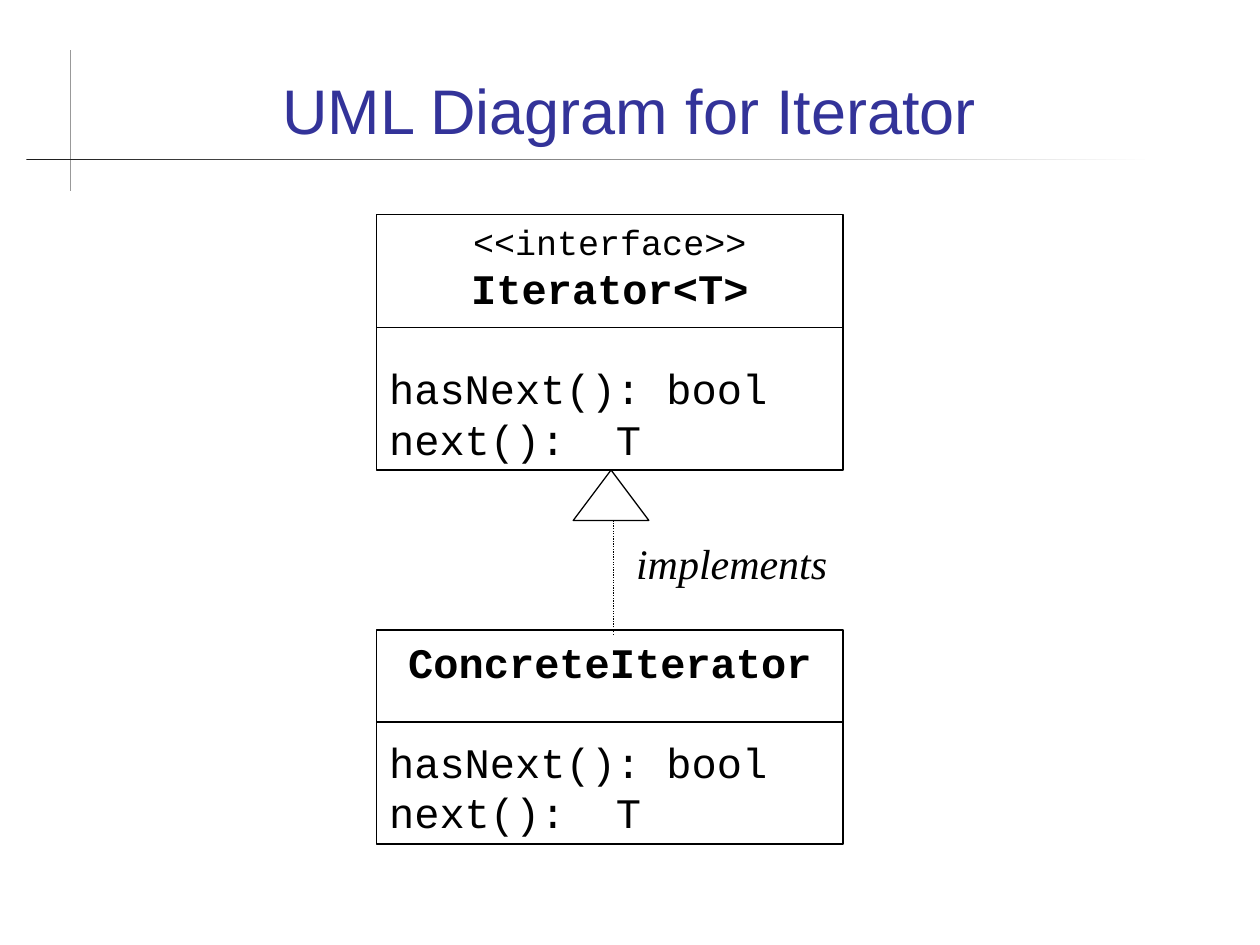
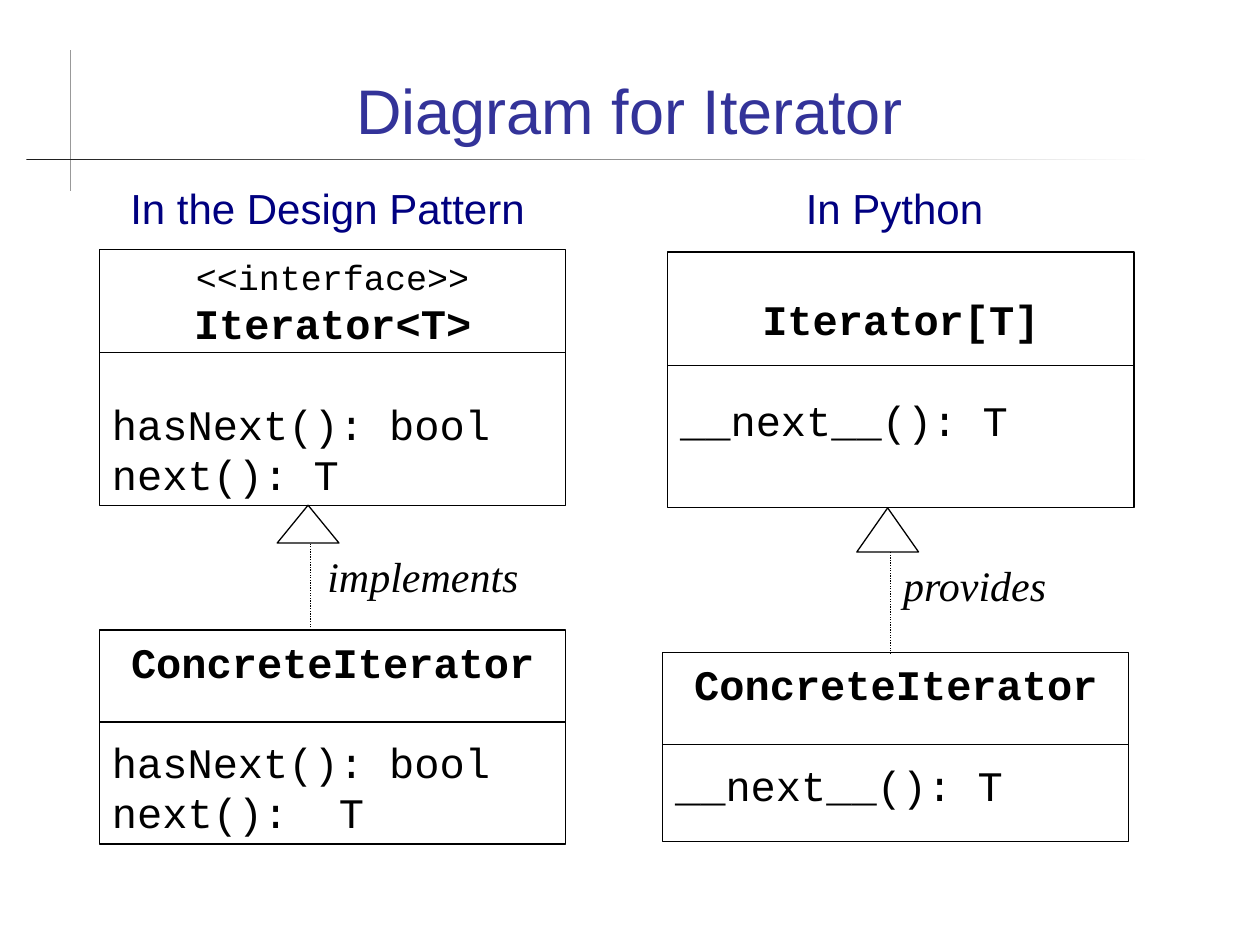
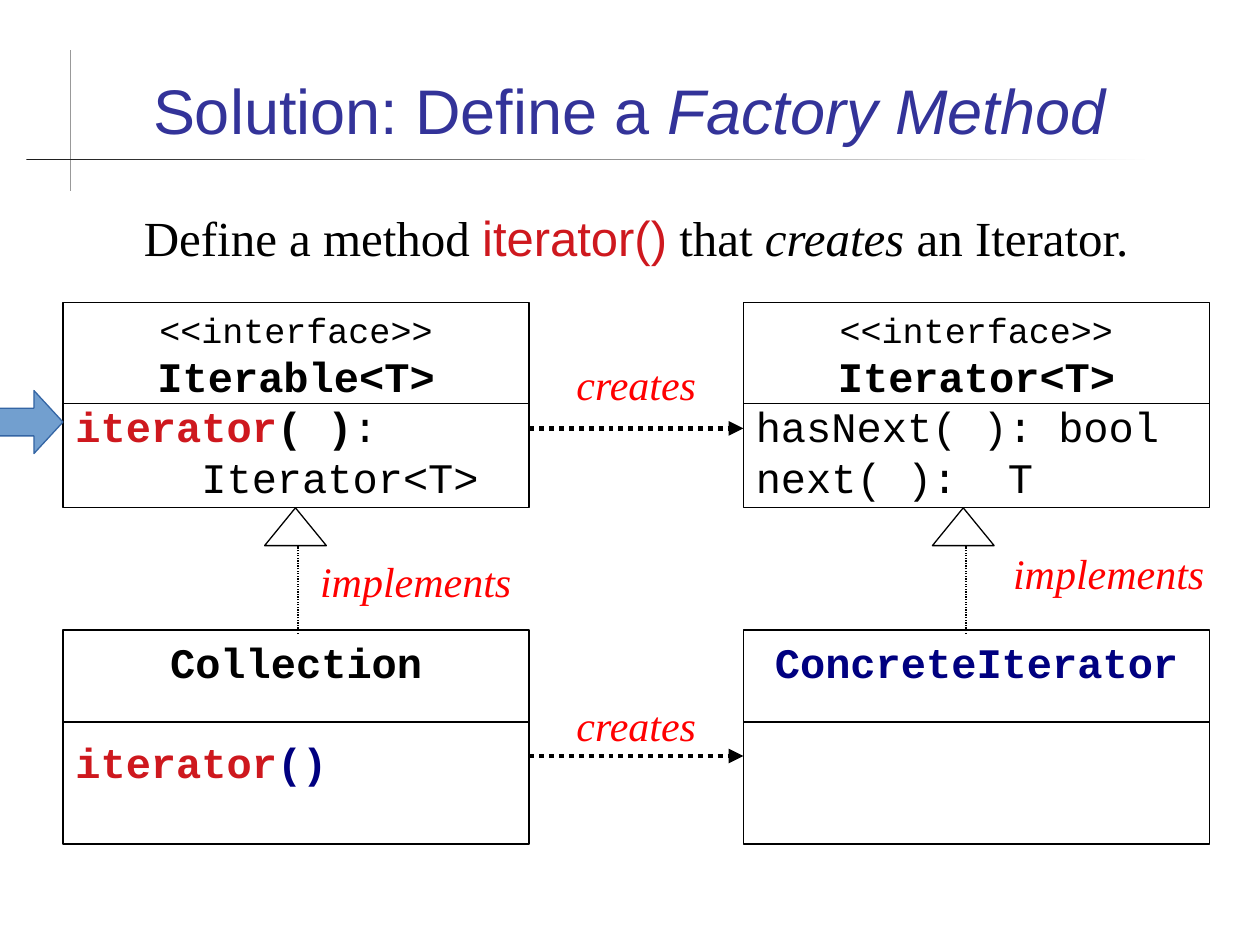
from dataclasses import dataclass

from lxml.etree import SubElement
from pptx import Presentation
from pptx.dml.color import RGBColor
from pptx.enum.dml import MSO_LINE
from pptx.enum.shapes import MSO_CONNECTOR, MSO_SHAPE
from pptx.enum.text import MSO_ANCHOR, PP_ALIGN
from pptx.oxml.ns import qn
from pptx.util import Pt

# Shared style
SANS, MONO, SERIF = "Arial", "Courier New", "Times New Roman"
BLACK, WHITE, RULE, GREY = "000000", "FFFFFF", "1C1C1C", "999999"
INDIGO, NAVY, CRIMSON, RED = "333399", "000080", "CE181E", "FF0000"
SKY, STEEL = "729FCF", "3465A4"
THIN, THICK = 0.75, 2.83
BOX_W = 266.4
LOWER_Y, LOWER_H, LOWER_SPLIT = 360, 122.4, 52.6
GAP = 28.5  # space above a list of methods
INSET = 3.6


@dataclass(frozen=True)
class Run:
    text: str
    font: str = MONO
    size: float = 24
    color: str = BLACK
    bold: bool = False
    italic: bool = False


@dataclass(frozen=True)
class Para:
    runs: tuple[Run, ...]
    centered: bool = False
    before: float = 0
    indent: float = 0


@dataclass(frozen=True)
class ClassBox:
    x: float
    y: float
    h: float
    split: float  # divider, measured from the top of the box
    paras: tuple[Para, ...]
    inset: float = INSET  # space above the first line


@dataclass(frozen=True)
class Realization:
    x: float
    y: float
    w: float
    h: float
    end: float  # foot of the dotted line


@dataclass(frozen=True)
class Label:
    x: float
    y: float
    w: float
    runs: tuple[Run, ...]
    centered: bool = True
    h: float = 36


def rgb(color: str) -> RGBColor:
    return RGBColor.from_string(color)


def write(sp, paras: tuple[Para, ...], anchor=MSO_ANCHOR.TOP, inset: float = INSET) -> None:
    tf = sp.text_frame
    tf.word_wrap = True
    tf.vertical_anchor = anchor
    tf.margin_top = Pt(inset)
    for i, para in enumerate(paras):
        p = tf.paragraphs[0] if i == 0 else tf.add_paragraph()
        p.alignment = PP_ALIGN.CENTER if para.centered else PP_ALIGN.LEFT
        p.space_before = Pt(para.before)
        if para.indent:
            p._p.get_or_add_pPr().set("marL", str(Pt(para.indent)))
        for run in para.runs:
            r = p.add_run()
            r.text = run.text
            f = r.font
            f.name, f.size, f.bold, f.italic = run.font, Pt(run.size), run.bold, run.italic
            f.color.rgb = rgb(run.color)


def add_text(s, x: float, y: float, w: float, h: float, paras: tuple[Para, ...],
             anchor=MSO_ANCHOR.TOP) -> None:
    write(s.shapes.add_textbox(Pt(x), Pt(y), Pt(w), Pt(h)), paras, anchor)


def add_shape(s, kind, x: float, y: float, w: float, h: float,
              fill: str | None = None, line: str | None = BLACK):
    sp = s.shapes.add_shape(kind, Pt(x), Pt(y), Pt(w), Pt(h))
    sp.shadow.inherit = False
    if fill:
        sp.fill.solid()
        sp.fill.fore_color.rgb = rgb(fill)
    else:
        sp.fill.background()
    if line:
        sp.line.color.rgb = rgb(line)
        sp.line.width = Pt(THIN)
    else:
        sp.line.fill.background()
    return sp


def add_line(s, x1: float, y1: float, x2: float, y2: float, color: str = BLACK,
             width: float = THIN, dotted: bool = False, arrow: bool = False) -> None:
    c = s.shapes.add_connector(MSO_CONNECTOR.STRAIGHT, Pt(x1), Pt(y1), Pt(x2), Pt(y2))
    c.line.color.rgb = rgb(color)
    c.line.width = Pt(width)
    if dotted:
        c.line.dash_style = MSO_LINE.ROUND_DOT
    if arrow:
        SubElement(c.line._get_or_add_ln(), qn("a:tailEnd"), type="triangle")
    SubElement(c._element.spPr, qn("a:effectLst"))


def add_class_box(s, box: ClassBox) -> None:
    sp = add_shape(s, MSO_SHAPE.RECTANGLE, box.x, box.y, BOX_W, box.h)
    write(sp, box.paras, inset=box.inset)
    add_line(s, box.x, box.y + box.split, box.x + BOX_W, box.y + box.split)


def add_realization(s, link: Realization) -> None:
    add_shape(s, MSO_SHAPE.ISOSCELES_TRIANGLE, link.x, link.y, link.w, link.h, WHITE)
    x = link.x + link.w / 2 + 1.5
    add_line(s, x, link.end, x, link.y + link.h, dotted=True)


def add_label(s, label: Label) -> None:
    add_text(s, label.x, label.y, label.w, label.h, (Para(label.runs, label.centered),))


def add_diagram(s, boxes: list[ClassBox], links: list[Realization], labels: list[Label]) -> None:
    for box in boxes:
        add_class_box(s, box)
    for link in links:
        add_realization(s, link)
    for label in labels:
        add_label(s, label)


def new_slide(prs, *title: Run):
    s = prs.slides.add_slide(prs.slide_layouts[6])
    # Crossed rules behind the title
    add_line(s, 40.3, 28.8, 40.3, 109.4, GREY, 0.25)
    band = add_shape(s, MSO_SHAPE.RECTANGLE, 15.1, 90.9, 645.1, 0.4, line=None)
    band.fill.gradient()
    band.fill.gradient_angle = 0
    for stop, color in zip(band.fill.gradient_stops, (RULE, WHITE)):
        stop.color.rgb = rgb(color)
    add_text(s, 48.2, 20.2, 622.8, 67.7, (Para(title, True),), MSO_ANCHOR.BOTTOM)
    return s


def title_run(text: str, italic: bool = False) -> Run:
    return Run(text, SANS, 36, INDIGO, italic=italic)


def note(text: str, color: str = BLACK) -> tuple[Run, ...]:
    return (Run(text, SERIF, color=color, italic=True),)


def name(text: str, color: str = BLACK) -> Para:
    return Para((Run(text, color=color, bold=True),), True)


def interface(text: str) -> tuple[Para, ...]:
    return Para((Run("<<interface>>", size=20),), True), name(text)


def methods(*lines: str, gap: float = GAP) -> tuple[Para, ...]:
    return tuple(Para((Run(line),), before=0 if i else gap) for i, line in enumerate(lines))


def lower_box(x: float, *paras: Para) -> ClassBox:
    return ClassBox(x, LOWER_Y, LOWER_H, LOWER_SPLIT, paras)


def concrete_iterator(x: float) -> ClassBox:
    return lower_box(x, name("ConcreteIterator"), *methods("hasNext(): bool", "next():  T"))


def uml_slide(prs) -> None:
    s = new_slide(prs, title_run("UML Diagram for Iterator"))
    x = 215.3
    add_diagram(
        s,
        [ClassBox(x, 122.4, 146.2, 64.8,
                  interface("Iterator<T>") + methods("hasNext(): bool", "next():  T")),
         concrete_iterator(x)],
        [Realization(327.6, 268.6, 43.2, 28.8, 362.9)],
        [Label(356.4, 303.8, 129.6, note("implements"), False)])


def comparison_slide(prs) -> None:
    s = new_slide(prs, title_run("Diagram for Iterator"))
    pattern_x, python_x = 56.9, 381.6
    python_methods = methods("__next__(): T")
    add_diagram(
        s,
        [ClassBox(pattern_x, 142.6, 146.2, 59,
                  interface("Iterator<T>") + methods("hasNext(): bool", "next(): T")),
         concrete_iterator(pattern_x),
         ClassBox(python_x, 144, 146.2, 64.8,
                  (name("Iterator[T]"),) + python_methods, inset=24),
         ClassBox(378.7, 373, 108, LOWER_SPLIT,
                  (name("ConcreteIterator"),) + python_methods)],
        [Realization(158.4, 288.7, 35.3, 21.6, LOWER_Y),
         Realization(489.6, 290.2, 35.3, 25.2, 373.7)],
        [Label(57.6, 100.8, 259.2, (Run("In the Design Pattern", SANS, color=NAVY),)),
         Label(python_x, 100.8, 259.2, (Run("In Python", SANS, color=NAVY),)),
         Label(180, 311, 129.6, note("implements"), False),
         Label(509, 316.1, 129.6, note("provides"), False)])


def factory_slide(prs) -> None:
    s = new_slide(prs, title_run("Solution: Define a "), title_run("Factory Method", True))
    left, right, top, height, split = 36, 424.8, 172.8, 117.4, 57.6
    method = Run("iterator", color=CRIMSON, bold=True)
    iterable = interface("Iterable<T>") + (
        Para((method, Run("( )", bold=True), Run(":"))),
        Para((Run("Iterator<T>"),), indent=72))
    iterator = interface("Iterator<T>") + methods("hasNext( ): bool", "next( ):  T", gap=0)
    sentence = (Run("Define a method ", SERIF, 28),
                Run("iterator()", SANS, 28, CRIMSON),
                Run(" that ", SERIF, 28),
                Run("creates", SERIF, 28, italic=True),
                Run(" an Iterator.", SERIF, 28))
    links = [Realization(x, top + height, 35.3, 21.6, 362.2) for x in (151.2, 532.8)]
    gap_x = left + BOX_W
    add_diagram(
        s,
        [ClassBox(left, top, height, split, iterable),
         ClassBox(right, top, height, split, iterator),
         lower_box(left, name("Collection"),
                   Para((method, Run("()", color=NAVY, bold=True)), before=GAP)),
         lower_box(right, name("ConcreteIterator", NAVY))],
        links,
        [Label(43.2, 115.2, 640.8, sentence, h=41),
         Label(gap_x, 201.6, right - gap_x, note("creates", RED)),
         Label(gap_x, 396, right - gap_x, note("creates", RED)),
         Label(165.6, 313.9, 144, note("implements", RED)),
         Label(561.6, 309.6, 144, note("implements", RED))])
    # Dependencies between the two columns
    for y in (244.8, 432):
        add_line(s, gap_x, y, right, y, width=THICK, dotted=True, arrow=True)
    # Pointer to the factory method
    pointer = add_shape(s, MSO_SHAPE.RIGHT_ARROW, -14.4, 223.2, 50.4, 36, SKY, STEEL)
    pointer.adjustments[0] = 0.44
    pointer.adjustments[1] = 0.46


def main() -> None:
    prs = Presentation()
    prs.slide_width, prs.slide_height = Pt(720), Pt(540)
    uml_slide(prs)
    comparison_slide(prs)
    factory_slide(prs)
    prs.save("out.pptx")


if __name__ == "__main__":
    main()
